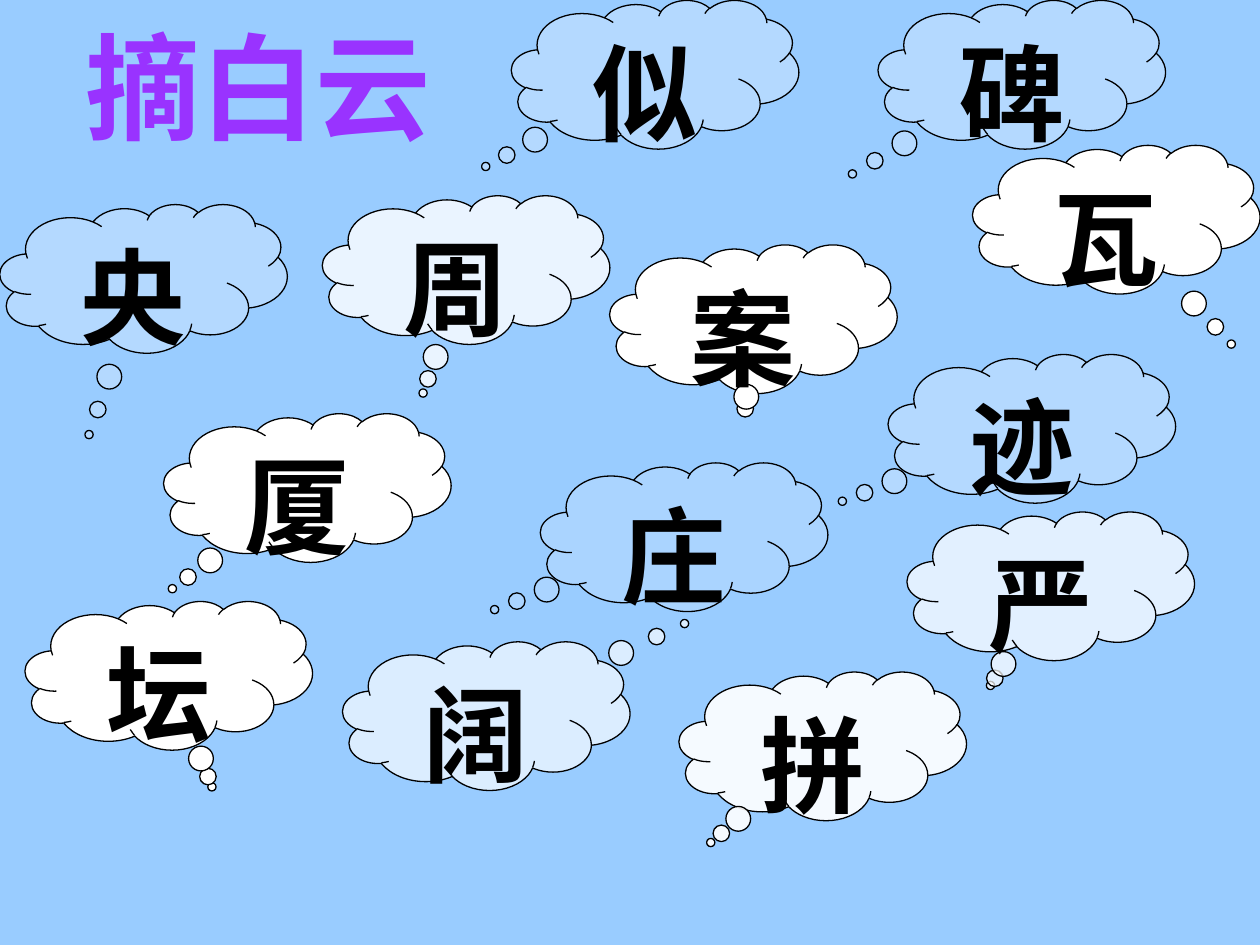
from dataclasses import dataclass

from lxml import etree
from pptx import Presentation
from pptx.dml.color import RGBColor
from pptx.enum.shapes import MSO_SHAPE
from pptx.enum.text import MSO_ANCHOR, PP_ALIGN
from pptx.oxml.ns import qn
from pptx.util import Inches, Pt

CLOUD_CALLOUT = MSO_SHAPE.CLOUD_CALLOUT
TOP, MIDDLE = MSO_ANCHOR.TOP, MSO_ANCHOR.MIDDLE
CENTER = PP_ALIGN.CENTER


@dataclass(frozen=True)
class Theme:
    sky: RGBColor = RGBColor(0x99, 0xCC, 0xFF)
    cloud: RGBColor = RGBColor(0xFF, 0xFF, 0xFF)
    ink: RGBColor = RGBColor(0, 0, 0)
    title: RGBColor = RGBColor(0x99, 0x33, 0xFF)
    font: str = "Arial"
    title_size: int = 66
    character_size: int = 60
    outline_width: float = 0.75
    cloud_width: float = 2.28
    cloud_height: float = 1.18


@dataclass(frozen=True)
class Cloud:
    character: str
    left: float
    top: float
    tail_x: float  # tail tip from the cloud centre, as a share of its size
    tail_y: float
    opacity: int = 100  # percent


THEME = Theme()

# Back to front
CLOUDS = [
    Cloud("央", 0, 1.62, -0.19, 1.05, 27),
    Cloud("庄", 4.29, 3.67, -0.66, 0.49, 17),
    Cloud("迹", 7.05, 2.81, -0.66, 0.49, 27),
    Cloud("瓦", 7.72, 1.15, 0.4, 0.84),
    Cloud("似", 4.06, 0, -0.59, 0.62, 27),
    Cloud("碑", 6.97, 0, -0.59, 0.67, 27),
    Cloud("厦", 1.3, 3.28, -0.47, 0.68),
    Cloud("周", 2.56, 1.55, -0.15, 0.83, 80),
    Cloud("严", 7.2, 4.06, -0.21, 0.67, 72),
    Cloud("阔", 2.72, 5.09, 0.69, -0.62, 65),
    Cloud("坛", 0.2, 4.77, 0.15, 0.75),
    Cloud("拼", 5.39, 5.33, -0.39, 0.65, 90),
    Cloud("案", 4.84, 1.94, -0.03, 0.63),
]


def write_text(shape, text: str, size: int, color: RGBColor, anchor) -> None:
    frame = shape.text_frame
    frame_format = {
        "word_wrap": True,
        "vertical_anchor": anchor,
        "margin_left": Inches(0.1),
        "margin_right": Inches(0.1),
        "margin_top": Inches(0.05),
        "margin_bottom": Inches(0.05),
    }
    for name, value in frame_format.items():
        setattr(frame, name, value)
    paragraph = frame.paragraphs[0]
    paragraph.alignment = CENTER
    run = paragraph.add_run()
    run.text = text
    for name, value in {"name": THEME.font, "size": Pt(size), "bold": True}.items():
        setattr(run.font, name, value)
    run.font.color.rgb = color


def set_opacity(shape, percent: int) -> None:
    color = shape.element.spPr.find(qn("a:solidFill")).find(qn("a:srgbClr"))
    etree.SubElement(color, qn("a:alpha")).set("val", str(percent * 1000))


def draw_cloud(slide, cloud: Cloud) -> None:
    shape = slide.shapes.add_shape(
        CLOUD_CALLOUT, Inches(cloud.left), Inches(cloud.top),
        Inches(THEME.cloud_width), Inches(THEME.cloud_height),
    )
    shape.shadow.inherit = False
    shape.adjustments[0] = cloud.tail_x
    shape.adjustments[1] = cloud.tail_y
    shape.fill.solid()
    shape.fill.fore_color.rgb = THEME.cloud
    if cloud.opacity < 100:
        set_opacity(shape, cloud.opacity)
    shape.line.color.rgb = THEME.ink
    shape.line.width = Pt(THEME.outline_width)
    write_text(shape, cloud.character, THEME.character_size, THEME.ink, TOP)


def main() -> None:
    presentation = Presentation()
    presentation.slide_width = Inches(10)
    presentation.slide_height = Inches(7.5)
    slide = presentation.slides.add_slide(presentation.slide_layouts[6])

    # Sky
    slide.background.fill.solid()
    slide.background.fill.fore_color.rgb = THEME.sky

    # Title
    title = slide.shapes.add_textbox(
        Inches(0.35), Inches(0.05), Inches(3.4), Inches(1.25)
    )
    write_text(title, "摘白云", THEME.title_size, THEME.title, MIDDLE)

    # Clouds
    for cloud in CLOUDS:
        draw_cloud(slide, cloud)

    presentation.save("out.pptx")


if __name__ == "__main__":
    main()
